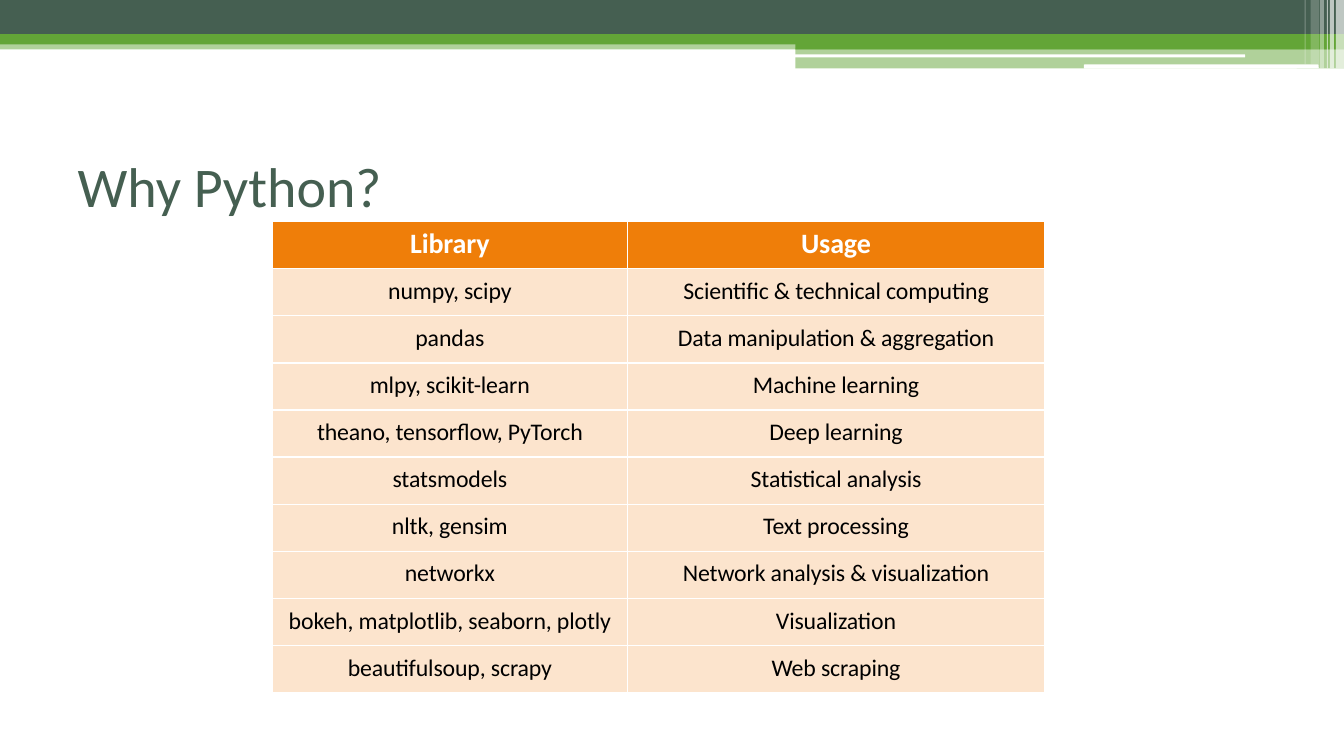
from lxml import etree
from pptx import Presentation
from pptx.dml.color import RGBColor
from pptx.enum.shapes import MSO_SHAPE
from pptx.enum.text import MSO_ANCHOR, PP_ALIGN
from pptx.oxml.ns import qn
from pptx.util import Inches, Pt

RECT, ROUND = MSO_SHAPE.RECTANGLE, MSO_SHAPE.ROUNDED_RECTANGLE
LEFT, CENTER = PP_ALIGN.LEFT, PP_ALIGN.CENTER
TOP, MIDDLE = MSO_ANCHOR.TOP, MSO_ANCHOR.MIDDLE
FONT = "Calibri"
HEX = {"dark": "455F51", "green": "63A537", "white": "FFFFFF",
       "orange": "EF7E09", "peach": "FCE4CD", "black": "000000"}

# Banner parts: shape, left, top, width, height, colour, opacity in percent
BANDS = [
    (RECT, 0, 0.4, 13.33, 0.09, "green", 50),
    (RECT, 0, 0, 13.33, 0.34, "dark", 100),
    (RECT, 0, 0.34, 13.33, 0.1, "green", 100),
    (RECT, 7.89, 0.39, 5.44, 0.1, "green", 100),
    (RECT, 7.89, 0.48, 5.44, 0.2, "green", 50),
    (ROUND, 7.88, 0.54, 4.47, 0.03, "white", 100),
    (ROUND, 10.75, 0.64, 2.33, 0.04, "white", 100),
    (RECT, 13.25, 0, 0.08, 0.68, "white", 65),
    (RECT, 13.19, 0, 0.04, 0.68, "white", 65),
    (RECT, 13.16, 0, 0.01, 0.68, "white", 60),
    (RECT, 13.09, 0, 0.04, 0.68, "white", 40),
    (RECT, 13, 0, 0.08, 0.64, "white", 20),
    (RECT, 12.94, 0, 0.01, 0.64, "white", 30),
]
ROWS = [
    ("Library", "Usage"),
    ("numpy, scipy", "Scientific & technical computing"),
    ("pandas", "Data manipulation & aggregation"),
    ("mlpy, scikit-learn", "Machine learning"),
    ("theano, tensorflow, PyTorch", "Deep learning"),
    ("statsmodels", "Statistical analysis"),
    ("nltk, gensim", "Text processing"),
    ("networkx", "Network analysis & visualization"),
    ("bokeh, matplotlib, seaborn, plotly", "Visualization"),
    ("beautifulsoup, scrapy", "Web scraping"),
]
SHARES = (0.46, 0.54)
HEAD = {"font": {"size": Pt(20), "bold": True}, "color": "white",
        "fill": "orange", "inset": 0.05, "before": 4}
BODY = {"font": {"size": Pt(17), "bold": False}, "color": "black",
        "fill": "peach", "inset": 0.08, "before": 6.7}


def rgb(name):
    return RGBColor.from_string(HEX[name])


def assign(item, values):
    for name, value in values.items():
        setattr(item, name, value)


def paint(fill, color):
    fill.solid()
    fill.fore_color.rgb = rgb(color)


def write(frame, text, font, color, align):
    para = frame.paragraphs[0]
    para.alignment = align
    run = para.add_run()
    run.text = text
    assign(run.font, {"name": FONT, **font})
    run.font.color.rgb = rgb(color)
    return para, run


def add_banner(slide, left, top):
    for kind, x, y, wide, high, color, alpha in BANDS:
        band = slide.shapes.add_shape(kind, Inches(left + x), Inches(top + y),
                                      Inches(wide), Inches(high))
        band.shadow.inherit = False
        band.line.fill.background()
        paint(band.fill, color)
        if alpha < 100:
            tint = band.fill._xPr.find(".//" + qn("a:srgbClr"))
            etree.SubElement(tint, qn("a:alpha"), val=str(alpha * 1000))


def add_title(slide, left, top, width, height):
    title = slide.shapes.title
    assign(title, {"left": Inches(left), "top": Inches(top),
                   "width": Inches(width), "height": Inches(height)})
    assign(title.text_frame, {"vertical_anchor": MIDDLE, "word_wrap": True})
    write(title.text_frame, "Why Python?", {"size": Pt(40)}, "dark", LEFT)


def add_border(cell):
    props = cell._tc.get_or_add_tcPr()
    for spot, side in enumerate(("lnL", "lnR", "lnT", "lnB")):
        line = etree.Element(qn("a:" + side), w=str(Pt(1)))
        fill = etree.SubElement(line, qn("a:solidFill"))
        etree.SubElement(fill, qn("a:srgbClr"), val=HEX["white"])
        props.insert(spot, line)


def fill_cell(cell, text, style):
    assign(cell, {"margin_left": 0, "margin_right": 0, "margin_bottom": 0,
                  "margin_top": Inches(style["inset"]),
                  "vertical_anchor": TOP})
    para, run = write(cell.text_frame, text, style["font"], style["color"],
                      CENTER)
    para.space_before = Pt(style["before"])
    run.font._element.set("spc", "-10")
    paint(cell.fill, style["fill"])
    add_border(cell)


def add_grid(slide, left, top, width, height):
    table = slide.shapes.add_table(len(ROWS), len(SHARES), Inches(left),
                                   Inches(top), Inches(width),
                                   Inches(height)).table
    table.horz_banding = False
    for col, share in zip(table.columns, SHARES):
        col.width = Inches(width * share)
    for r, row in enumerate(ROWS):
        table.rows[r].height = Inches(height / len(ROWS))
        for c, text in enumerate(row):
            fill_cell(table.cell(r, c), text, BODY if r else HEAD)


def main():
    deck = Presentation()
    assign(deck, {"slide_width": Inches(13.33), "slide_height": Inches(7.5)})
    slide = deck.slides.add_slide(deck.slide_layouts[5])
    add_banner(slide, 0, 0)
    add_grid(slide, 2.7, 2.2, 7.66, 4.67)
    add_title(slide, 0.67, 1.25, 12, 1.17)
    deck.save("out.pptx")


if __name__ == "__main__":
    main()
